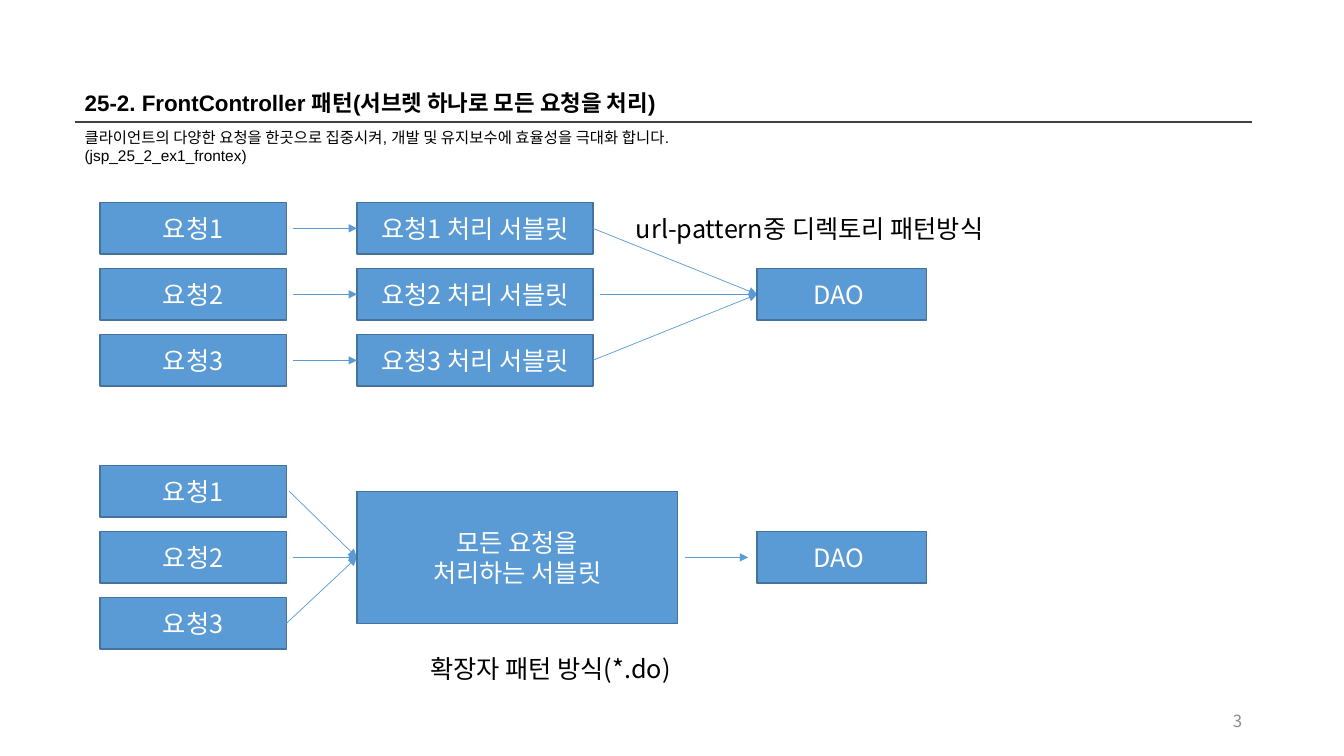
from lxml import etree
from pptx import Presentation
from pptx.dml.color import RGBColor
from pptx.enum.shapes import MSO_CONNECTOR, MSO_SHAPE
from pptx.enum.text import MSO_ANCHOR, MSO_AUTO_SIZE, PP_ALIGN
from pptx.oxml.ns import qn
from pptx.util import Inches, Pt

LEFT, CENTER, RIGHT = PP_ALIGN.LEFT, PP_ALIGN.CENTER, PP_ALIGN.RIGHT
TOP, MIDDLE = MSO_ANCHOR.TOP, MSO_ANCHOR.MIDDLE
HEAD_FONT, BODY_FONT = "Arial", "Noto Sans CJK KR"
BLUE, BLUE_EDGE, RULE = "5B9BD5", "43739E", "404040"
BLACK, WHITE, GRAY = "000000", "FFFFFF", "8C8C8C"

# Content
TITLE = "25-2. FrontController 패턴(서브렛 하나로 모든 요청을 처리)"
SUMMARY = ("클라이언트의 다양한 요청을 한곳으로 집중시켜, 개발 및 유지보수에 효율성을 극대화 합니다.\n"
           "(jsp_25_2_ex1_frontex)")
REQUESTS = ["요청1", "요청2", "요청3"]
FRONT_SERVLET = "모든 요청을\n처리하는 서블릿"
DAO = "DAO "
CAPTIONS = [  # text, left, top, width
    ("url-pattern중 디렉토리 패턴방식", 6.21, 2.07, 3.87),
    ("확장자 패턴 방식(*.do)", 4.17, 6.43, 2.77),
]
PAGE_NUMBER = "3"

# Layout in inches
MARGIN, CONTENT_WIDTH, RULE_TOP = 0.74, 11.68, 1.21
REQUEST_LEFT, REQUEST_WIDTH = 0.99, 1.85
SERVLET_LEFT, SERVLET_WIDTH, FRONT_WIDTH, FRONT_HEIGHT = 3.54, 2.34, 3.18, 1.31
DAO_LEFT, DAO_WIDTH = 7.51, 1.68
BOX_HEIGHT, ROW_STEP, GAP = 0.51, 0.655, 0.07
SEPARATE_TOP, FRONT_TOP = 2.01, 4.62


def color(value):
    return RGBColor.from_string(value)


def place(shape, left, top, width, height):
    shape.left, shape.top = Inches(left), Inches(top)
    shape.width, shape.height = Inches(width), Inches(height)


def write(shape, text, size, font, ink, align=LEFT, anchor=TOP, bold=False, wrap=True):
    frame = shape.text_frame
    frame.text = text
    frame.word_wrap = wrap
    frame.auto_size = MSO_AUTO_SIZE.NONE
    frame.vertical_anchor = anchor
    for para in frame.paragraphs:
        para.alignment = align
        for span in para.runs:
            span.font.size = Pt(size)
            span.font.bold = bold
            span.font.color.rgb = color(ink)
            span.font.name = font
            # Korean glyphs take the East Asian typeface
            east_asian = etree.SubElement(span.font._element, qn("a:ea"))
            east_asian.set("typeface", BODY_FONT)


def add_text(page, text, left, top, width, height, *style, **options):
    box = page.shapes.add_textbox(Inches(left), Inches(top), Inches(width), Inches(height))
    write(box, text, *style, **options)


def add_box(page, text, left, top, width, height=BOX_HEIGHT):
    box = page.shapes.add_shape(MSO_SHAPE.RECTANGLE, Inches(left), Inches(top),
                                Inches(width), Inches(height))
    box.shadow.inherit = False
    box.fill.solid()
    box.fill.fore_color.rgb = color(BLUE)
    box.line.color.rgb = color(BLUE_EDGE)
    box.line.width = Pt(1)
    write(box, text, 18, BODY_FONT, WHITE, CENTER, MIDDLE)


def add_line(page, start, end, ink, width, arrow=False):
    line = page.shapes.add_connector(MSO_CONNECTOR.STRAIGHT, Inches(start[0]), Inches(start[1]),
                                     Inches(end[0]), Inches(end[1]))
    line.line.color.rgb = color(ink)
    line.line.width = Pt(width)
    if arrow:
        etree.SubElement(line.line._get_or_add_ln(), qn("a:tailEnd")).set("type", "triangle")
    etree.SubElement(line._element.spPr, qn("a:effectLst"))


def add_arrow(page, start, end):
    add_line(page, start, end, BLUE, 0.5, arrow=True)


def row_tops(first):
    return [first + ROW_STEP * row for row in range(len(REQUESTS))]


def add_separate_servlets(page):
    target = (DAO_LEFT, SEPARATE_TOP + ROW_STEP + BOX_HEIGHT / 2)
    servlet_right = SERVLET_LEFT + SERVLET_WIDTH
    for row, (name, top) in enumerate(zip(REQUESTS, row_tops(SEPARATE_TOP))):
        middle = top + BOX_HEIGHT / 2
        add_box(page, name, REQUEST_LEFT, top, REQUEST_WIDTH)
        add_box(page, f"{name} 처리 서블릿", SERVLET_LEFT, top, SERVLET_WIDTH)
        add_arrow(page, (REQUEST_LEFT + REQUEST_WIDTH + GAP, middle), (SERVLET_LEFT, middle))
        start = servlet_right + (GAP if row == 1 else 0)
        add_arrow(page, (start, middle), target)
    add_box(page, DAO, DAO_LEFT, SEPARATE_TOP + ROW_STEP, DAO_WIDTH)


def add_front_controller(page):
    middle = FRONT_TOP + ROW_STEP + BOX_HEIGHT / 2
    for name, top, gap in zip(REQUESTS, row_tops(FRONT_TOP), (0.03, GAP, 0)):
        add_box(page, name, REQUEST_LEFT, top, REQUEST_WIDTH)
        add_arrow(page, (REQUEST_LEFT + REQUEST_WIDTH + gap, top + BOX_HEIGHT / 2),
                  (SERVLET_LEFT, middle))
    add_box(page, FRONT_SERVLET, SERVLET_LEFT, middle - FRONT_HEIGHT / 2,
            FRONT_WIDTH, FRONT_HEIGHT)
    add_arrow(page, (SERVLET_LEFT + FRONT_WIDTH + GAP, middle), (DAO_LEFT - 0.09, middle))
    add_box(page, DAO, DAO_LEFT, FRONT_TOP + ROW_STEP, DAO_WIDTH)


def main():
    deck = Presentation()
    deck.slide_width, deck.slide_height = Inches(13.33), Inches(7.5)
    page = deck.slides.add_slide(deck.slide_layouts[5])

    # Heading, rule, summary and page number
    title = page.shapes.title
    place(title, MARGIN, 0.83, CONTENT_WIDTH, 0.37)
    write(title, TITLE, 16, HEAD_FONT, BLACK, bold=True)
    add_line(page, (MARGIN, RULE_TOP), (MARGIN + CONTENT_WIDTH, RULE_TOP), RULE, 1)
    add_text(page, SUMMARY, MARGIN, 1.22, CONTENT_WIDTH, 0.47, 11, HEAD_FONT, BLACK)
    add_text(page, PAGE_NUMBER, 9.42, 6.95, 3, 0.4, 12, BODY_FONT, GRAY, RIGHT, MIDDLE)

    # Diagrams and their captions
    add_separate_servlets(page)
    add_front_controller(page)
    for text, left, top, width in CAPTIONS:
        add_text(page, text, left, top, width, 0.4, 18, BODY_FONT, BLACK, wrap=False)

    deck.save("out.pptx")


if __name__ == "__main__":
    main()
